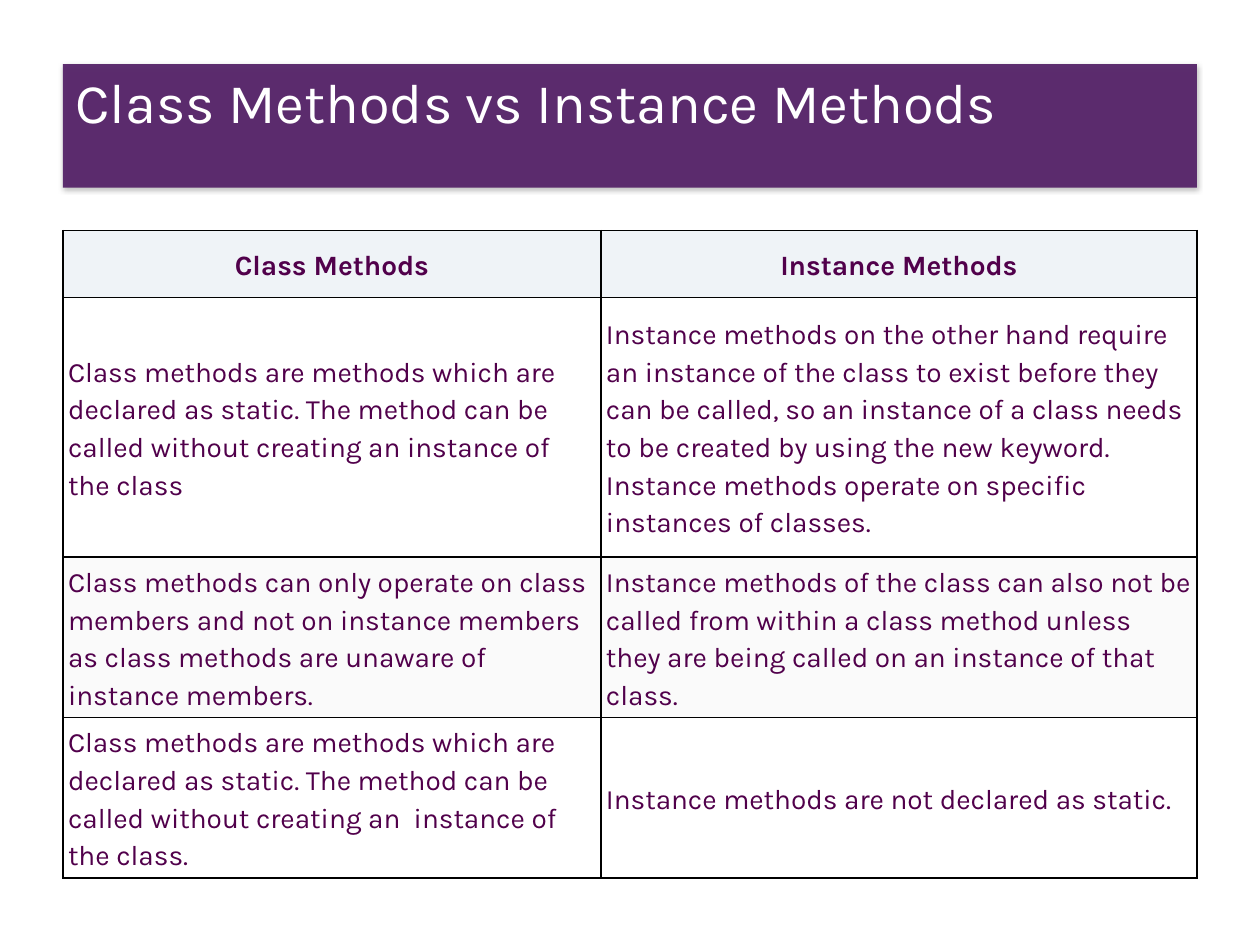
"""Build a slide comparing class methods with instance methods in a table."""
from dataclasses import dataclass

from lxml.etree import SubElement
from pptx import Presentation
from pptx.dml.color import RGBColor
from pptx.enum.shapes import MSO_SHAPE as Shape
from pptx.enum.text import MSO_ANCHOR as Anchor, PP_ALIGN as Align
from pptx.oxml import parse_xml
from pptx.oxml.ns import nsdecls, qn
from pptx.util import Inches, Pt

FONT = "Karla"
PLUM = "51004B"
COLUMN_WIDTHS = (4.27, 4.73)


@dataclass
class Row:
    class_side: str
    instance_side: str
    height: float
    fill: str = ""
    heading: bool = False


ROWS = [
    Row("Class Methods", "Instance Methods", 0.53, "EFF3F7", True),
    Row("Class methods are methods which are declared as static. The method can be "
        "called without creating an instance of the class",
        "Instance methods on the other hand require an instance of the class to exist "
        "before they can be called, so an instance of a class needs to be created by "
        "using the new keyword.\vInstance methods operate on specific instances of classes.",
        2.06),
    Row("Class methods can only operate on class members and not on instance members "
        "as class methods are unaware of instance members.",
        "Instance methods of the class can also not be called from within a class method "
        "unless they are being called on an instance of that class.",
        1.26, "FAFAFA"),
    Row("Class methods are methods which are declared as static. The method can be "
        "called without creating an  instance of the class.",
        "Instance methods are not declared as static.", 1.26),
]


def rgb(value: str) -> RGBColor:
    return RGBColor.from_string(value)


def set_all(target, values: dict) -> None:
    for name, value in values.items():
        setattr(target, name, value)


def write(frame, text: str, size: float, color: str, spacing: float,
          align=Align.LEFT, bold: bool = False) -> None:
    frame.text = text
    paragraph = frame.paragraphs[0]
    set_all(paragraph, {"alignment": align, "line_spacing": spacing})
    for run in paragraph.runs:
        set_all(run.font, {"name": FONT, "size": Pt(size), "bold": bold})
        run.font.color.rgb = rgb(color)


def draw_title(slide, text: str) -> None:
    banner = slide.shapes.add_shape(
        Shape.RECTANGLE, Inches(0.5), Inches(0.51), Inches(9), Inches(0.98))
    banner.fill.solid()
    banner.fill.fore_color.rgb = rgb("562469")
    banner.line.fill.background()
    tint = banner.fill._xPr.find(qn("a:solidFill"))[0]
    SubElement(tint, qn("a:alpha"), val="95000")
    banner._element.spPr.append(parse_xml(
        f'<a:effectLst {nsdecls("a")}><a:outerShdw blurRad="38100" dist="12700" '
        'dir="5400000" algn="ctr" rotWithShape="0"><a:srgbClr val="000000">'
        '<a:alpha val="25000"/></a:srgbClr></a:outerShdw></a:effectLst>'))
    frame = banner.text_frame
    set_all(frame, {"word_wrap": True, "vertical_anchor": Anchor.TOP,
                    "margin_left": Inches(0.1), "margin_right": Inches(0.1),
                    "margin_top": 0, "margin_bottom": Inches(0.05)})
    write(frame, text, 32, "FFFFFF", 1.05)


def draw_borders(cell) -> None:
    properties = cell._tc.get_or_add_tcPr()
    for side in ("lnL", "lnR", "lnT", "lnB"):
        properties.append(parse_xml(
            f'<a:{side} {nsdecls("a")} w="{Pt(1)}"><a:solidFill>'
            f'<a:srgbClr val="000000"/></a:solidFill></a:{side}>'))


def draw_cell(cell, text: str, row: Row) -> None:
    draw_borders(cell)
    if row.fill:
        cell.fill.solid()
        cell.fill.fore_color.rgb = rgb(row.fill)
    else:
        cell.fill.background()
    margins = {f"margin_{side}": Inches(0.04) for side in ("left", "right", "top", "bottom")}
    set_all(cell, {"vertical_anchor": Anchor.MIDDLE, **margins})
    align = Align.CENTER if row.heading else Align.LEFT
    write(cell.text_frame, text, 16, PLUM, 1.15, align, row.heading)


def draw_comparison(slide, rows: list[Row]) -> None:
    height = sum(row.height for row in rows)
    comparison = slide.shapes.add_table(
        len(rows), len(COLUMN_WIDTHS), Inches(0.5), Inches(1.83),
        Inches(sum(COLUMN_WIDTHS)), Inches(height)).table
    set_all(comparison, {"first_row": False, "horz_banding": False})
    for column, width in zip(comparison.columns, COLUMN_WIDTHS):
        column.width = Inches(width)
    for line, row in zip(comparison.rows, rows):
        line.height = Inches(row.height)
        for cell, text in zip(line.cells, (row.class_side, row.instance_side)):
            draw_cell(cell, text, row)


def main() -> None:
    deck = Presentation()
    set_all(deck, {"slide_width": Inches(10), "slide_height": Inches(7.5)})
    slide = deck.slides.add_slide(deck.slide_layouts[6])
    draw_title(slide, "Class Methods vs Instance Methods")
    draw_comparison(slide, ROWS)
    deck.save("out.pptx")


if __name__ == "__main__":
    main()
